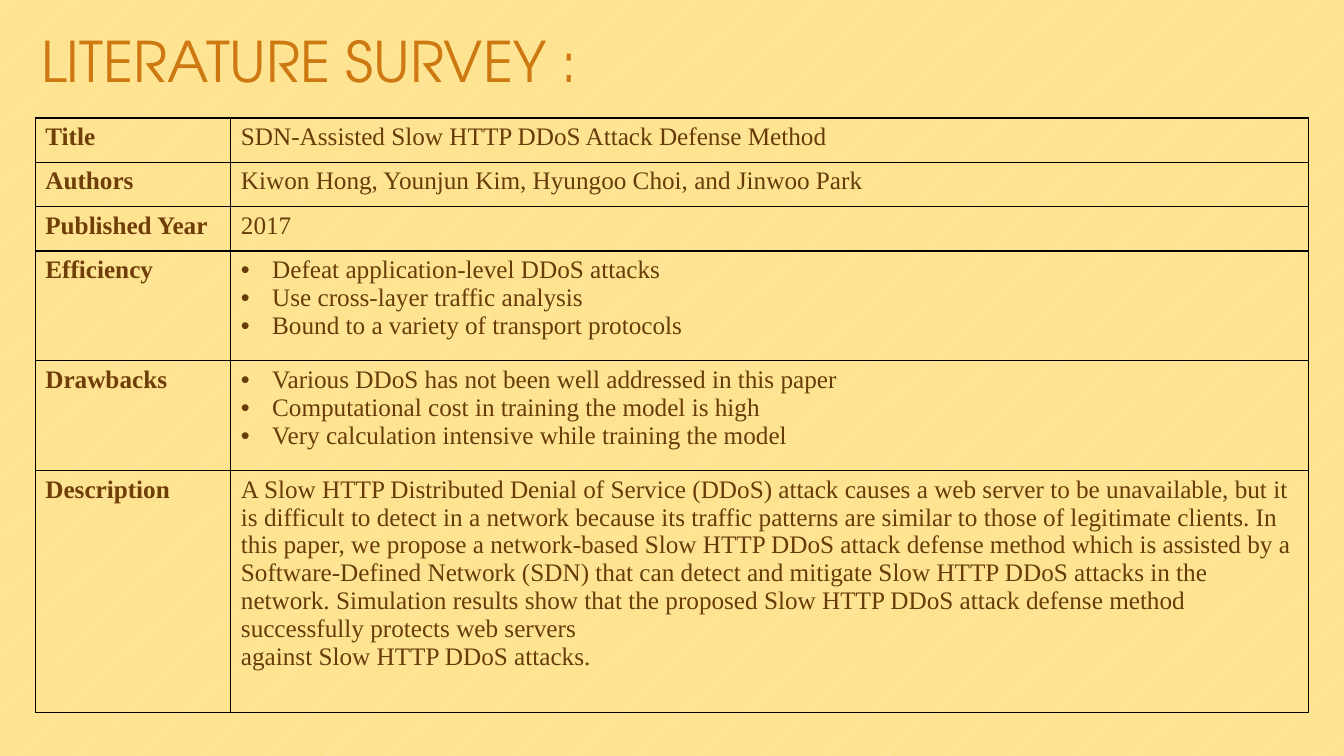
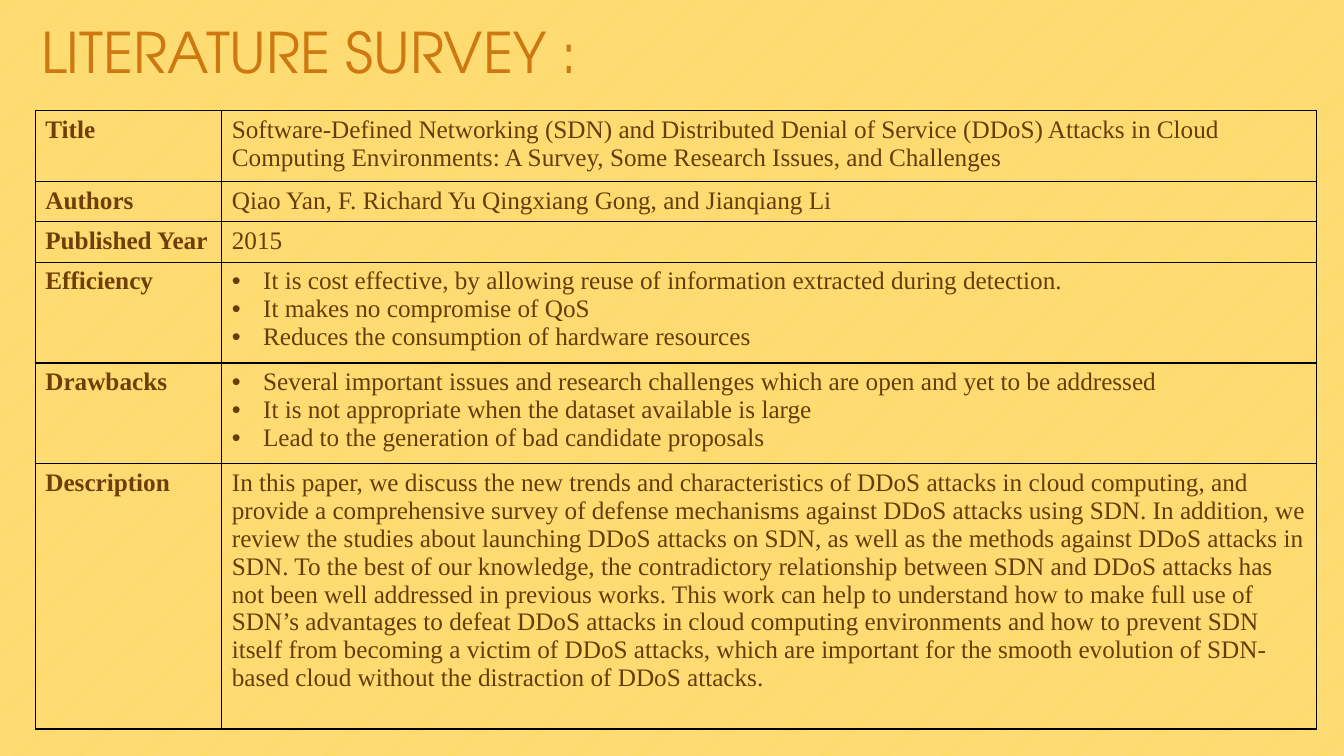
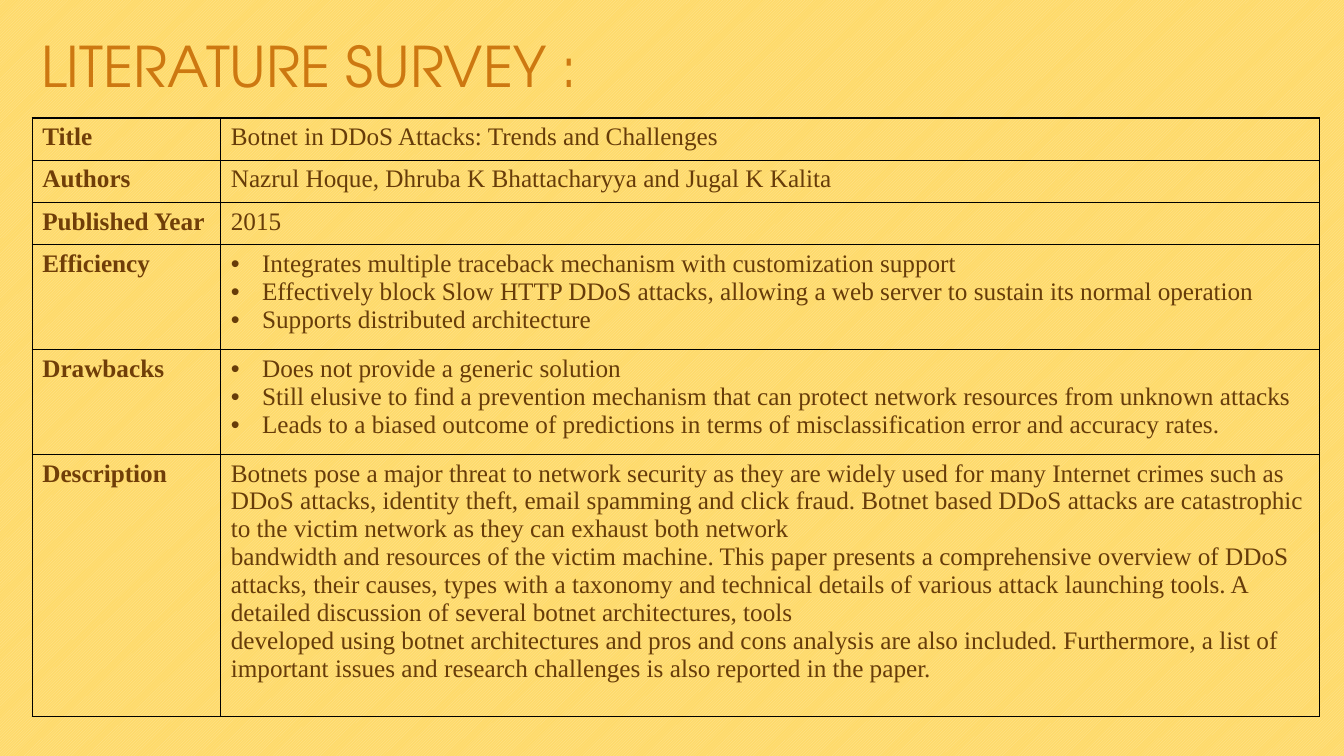
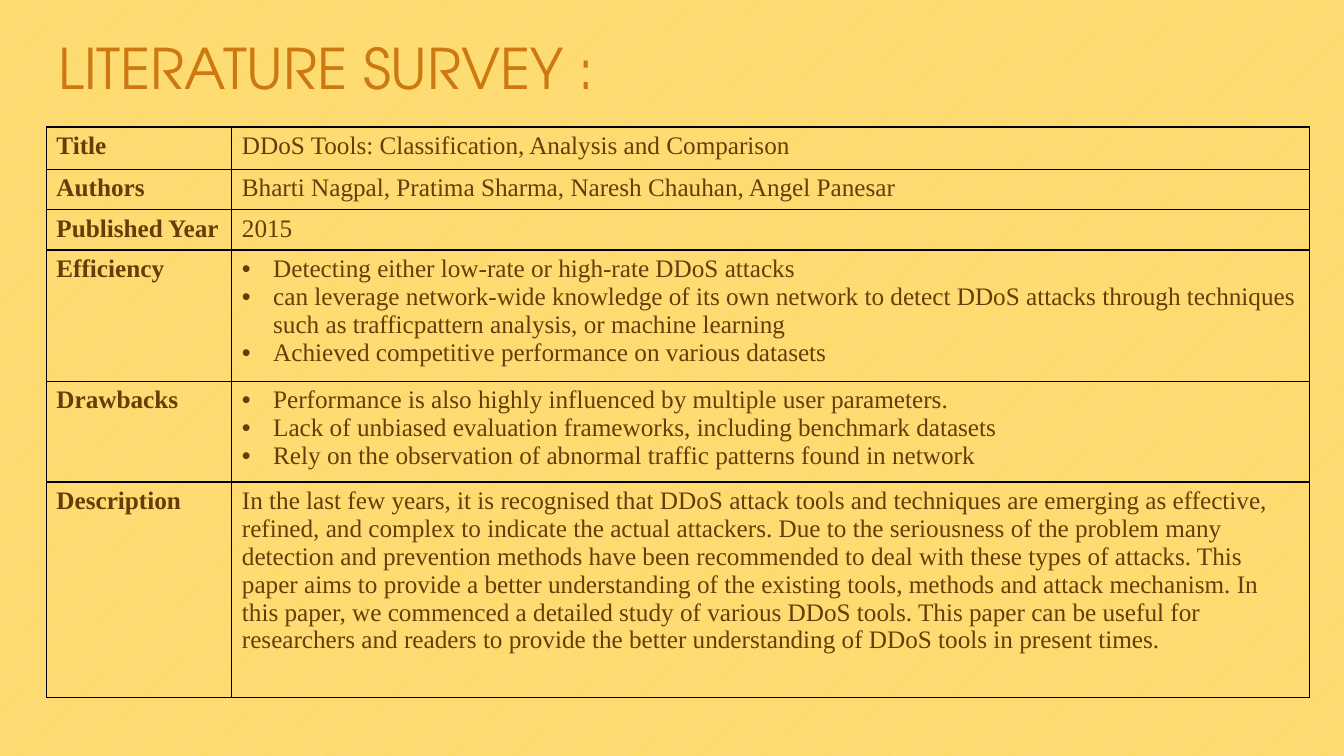
from lxml.etree import SubElement
from pptx import Presentation
from pptx.dml.color import RGBColor
from pptx.enum.dml import MSO_PATTERN
from pptx.enum.text import MSO_ANCHOR
from pptx.oxml.ns import qn
from pptx.util import Inches, Pt

# Shared style
TITLE = "LITERATURE SURVEY :"
TITLE_FONT, BODY_FONT = "TeX Gyre Adventor", "Times New Roman"
TITLE_COLOR, LABEL_COLOR, TEXT_COLOR = "CD7811", "703E08", "673C09"
BORDER_COLOR = "000000"
PALE, GOLD = "FFE69B", "FEDA6A"
BULLET_INDENT = Inches(0.31)
LABELS = ["Title", "Authors", "Published Year", "Efficiency", "Drawbacks", "Description"]
BULLETED = {"Efficiency", "Drawbacks"}

# One survey per slide; values follow the order of LABELS, one string per paragraph
SURVEYS = [
    {
        "stripes": (GOLD, PALE),
        "title_at": (0.31, 0.29),
        "table_at": (0.35, 1.17),
        "columns": (1.94, 10.69),
        "rows": (0.44, 0.44, 0.44, 1.09, 1.09, 2.4),
        "values": [
            ["SDN-Assisted Slow HTTP DDoS Attack Defense Method"],
            ["Kiwon Hong, Younjun Kim, Hyungoo Choi, and Jinwoo Park"],
            ["2017"],
            ["Defeat application-level DDoS attacks",
             "Use cross-layer traffic analysis",
             "Bound to a variety of transport protocols"],
            ["Various DDoS has not been well addressed in this paper",
             "Computational cost in training the model is high",
             "Very calculation intensive while training the model"],
            ["A Slow HTTP Distributed Denial of Service (DDoS) attack causes a web server to be "
             "unavailable, but it is difficult to detect in a network because its traffic patterns "
             "are similar to those of legitimate clients. In this paper, we propose a network-based "
             "Slow HTTP DDoS attack defense method which is assisted by a Software-Defined Network "
             "(SDN) that can detect and mitigate Slow HTTP DDoS attacks in the network. Simulation "
             "results show that the proposed Slow HTTP DDoS attack defense method successfully "
             "protects web servers",
             "against Slow HTTP DDoS attacks."],
        ],
    },
    {
        "stripes": (PALE, GOLD),
        "title_at": (0.31, 0.2),
        "table_at": (0.35, 1.1),
        "columns": (1.85, 10.86),
        "rows": (0.69, 0.4, 0.4, 0.98, 0.98, 2.63),
        "values": [
            ["Software-Defined Networking (SDN) and Distributed Denial of Service (DDoS) Attacks in "
             "Cloud Computing Environments: A Survey, Some Research Issues, and Challenges"],
            ["Qiao Yan, F. Richard Yu Qingxiang Gong, and Jianqiang Li"],
            ["2015"],
            ["It is cost effective, by allowing reuse of information extracted during detection.",
             "It makes no compromise of QoS",
             "Reduces the consumption of hardware resources"],
            ["Several important issues and research challenges which are open and yet to be addressed",
             "It is not appropriate when the dataset available is large",
             "Lead to the generation of bad candidate proposals"],
            ["In this paper, we discuss the new trends and characteristics of DDoS attacks in cloud "
             "computing, and provide a comprehensive survey of defense mechanisms against DDoS attacks "
             "using SDN. In addition, we review the studies about launching DDoS attacks on SDN, as "
             "well as the methods against DDoS attacks in SDN. To the best of our knowledge, the "
             "contradictory relationship between SDN and DDoS attacks has not been well addressed in "
             "previous works. This work can help to understand how to make full use of SDN’s "
             "advantages to defeat DDoS attacks in cloud computing environments and how to prevent "
             "SDN itself from becoming a victim of DDoS attacks, which are important for the smooth "
             "evolution of SDN-based cloud without the distraction of DDoS attacks."],
        ],
    },
    {
        "stripes": (PALE, GOLD),
        "title_at": (0.31, 0.34),
        "table_at": (0.32, 1.17),
        "columns": (1.87, 10.9),
        "rows": (0.42, 0.42, 0.42, 1.04, 1.04, 2.6),
        "values": [
            ["Botnet in DDoS Attacks: Trends and Challenges"],
            ["Nazrul Hoque, Dhruba K Bhattacharyya and Jugal K Kalita"],
            ["2015"],
            ["Integrates multiple traceback mechanism with customization support",
             "Effectively block Slow HTTP DDoS attacks, allowing a web server to sustain its normal "
             "operation",
             "Supports distributed architecture"],
            ["Does not provide a generic solution",
             "Still elusive to find a prevention mechanism that can protect network resources from "
             "unknown attacks",
             "Leads to a biased outcome of predictions in terms of misclassification error and "
             "accuracy rates."],
            ["Botnets pose a major threat to network security as they are widely used for many "
             "Internet crimes such as DDoS attacks, identity theft, email spamming and click fraud. "
             "Botnet based DDoS attacks are catastrophic to the victim network as they can exhaust "
             "both network",
             "bandwidth and resources of the victim machine. This paper presents a comprehensive "
             "overview of DDoS attacks, their causes, types with a taxonomy and technical details of "
             "various attack launching tools. A detailed discussion of several botnet architectures, "
             "tools",
             "developed using botnet architectures and pros and cons analysis are also included. "
             "Furthermore, a list of important issues and research challenges is also reported in the "
             "paper."],
        ],
    },
    {
        "stripes": (PALE, GOLD),
        "title_at": (0.48, 0.36),
        "table_at": (0.46, 1.26),
        "columns": (1.84, 10.69),
        "rows": (0.42, 0.39, 0.4, 1.26, 0.97, 2.14),
        "label_color": TEXT_COLOR,
        "values": [
            ["DDoS Tools: Classification, Analysis and Comparison"],
            ["Bharti Nagpal, Pratima Sharma, Naresh Chauhan, Angel Panesar"],
            ["2015"],
            ["Detecting either low-rate or high-rate DDoS attacks",
             "can leverage network-wide knowledge of its own network to detect DDoS attacks through "
             "techniques such as trafficpattern analysis, or machine learning",
             "Achieved competitive performance on various datasets"],
            ["Performance is also highly influenced by multiple user parameters.",
             "Lack of unbiased evaluation frameworks, including benchmark datasets",
             "Rely on the observation of abnormal traffic patterns found in network"],
            ["In the last few years, it is recognised that DDoS attack tools and techniques are "
             "emerging as effective, refined, and complex to indicate the actual attackers. Due to the "
             "seriousness of the problem many detection and prevention methods have been recommended "
             "to deal with these types of attacks. This paper aims to provide a better understanding "
             "of the existing tools, methods and attack mechanism. In this paper, we commenced a "
             "detailed study of various DDoS tools. This paper can be useful for researchers and "
             "readers to provide the better understanding of DDoS tools in present times."],
        ],
    },
]


def rgb(color):
    return RGBColor.from_string(color)


def style_font(paragraph, name, size, color, bold=False):
    font = paragraph.font
    font.name, font.size, font.bold = name, Pt(size), bold
    font.color.rgb = rgb(color)


def add_bullet(paragraph):
    properties = paragraph._p.get_or_add_pPr()
    properties.set("marL", str(BULLET_INDENT))
    properties.set("indent", str(-BULLET_INDENT))
    SubElement(properties, qn("a:buFont"), typeface="Arial")
    SubElement(properties, qn("a:buChar"), char="•")


def add_borders(cell):
    properties = cell._tc.get_or_add_tcPr()
    for side in ("lnL", "lnR", "lnT", "lnB"):
        line = SubElement(properties, qn(f"a:{side}"), w=str(Pt(1)))
        fill = SubElement(line, qn("a:solidFill"))
        SubElement(fill, qn("a:srgbClr"), val=BORDER_COLOR)


def fill_cell(cell, texts, color, bold=False, bulleted=False):
    add_borders(cell)
    cell.fill.background()
    cell.text = "\n".join(texts)
    for paragraph in cell.text_frame.paragraphs:
        if bulleted:
            add_bullet(paragraph)
        style_font(paragraph, BODY_FONT, 18, color, bold)


def paint_background(slide, stripes):
    fill = slide.background.fill
    fill.patterned()
    fill.pattern = MSO_PATTERN.DARK_UPWARD_DIAGONAL
    fill.fore_color.rgb, fill.back_color.rgb = map(rgb, stripes)


def add_title(slide, left, top):
    box = slide.shapes.add_textbox(Inches(left), Inches(top), Inches(12), Inches(0.75))
    frame = box.text_frame
    frame.word_wrap = True
    frame.vertical_anchor = MSO_ANCHOR.TOP
    frame.text = TITLE
    paragraph = frame.paragraphs[0]
    paragraph.line_spacing = 0.9
    style_font(paragraph, TITLE_FONT, 40, TITLE_COLOR)


def add_survey_table(slide, survey):
    left, top = survey["table_at"]
    columns, rows = survey["columns"], survey["rows"]
    table = slide.shapes.add_table(
        len(rows), len(columns), Inches(left), Inches(top),
        Inches(sum(columns)), Inches(sum(rows))).table
    table.first_row = table.horz_banding = False
    for column, width in zip(table.columns, columns):
        column.width = Inches(width)
    label_color = survey.get("label_color", LABEL_COLOR)
    for row, height, label, texts in zip(table.rows, rows, LABELS, survey["values"]):
        row.height = Inches(height)
        label_cell, value_cell = row.cells
        fill_cell(label_cell, [label], label_color, bold=True)
        fill_cell(value_cell, texts, TEXT_COLOR, bulleted=label in BULLETED)


def main():
    presentation = Presentation()
    presentation.slide_width, presentation.slide_height = Inches(13.33), Inches(7.5)
    blank_layout = presentation.slide_layouts[6]
    for survey in SURVEYS:
        slide = presentation.slides.add_slide(blank_layout)
        paint_background(slide, survey["stripes"])
        add_title(slide, *survey["title_at"])
        add_survey_table(slide, survey)
    presentation.save("out.pptx")


if __name__ == "__main__":
    main()
